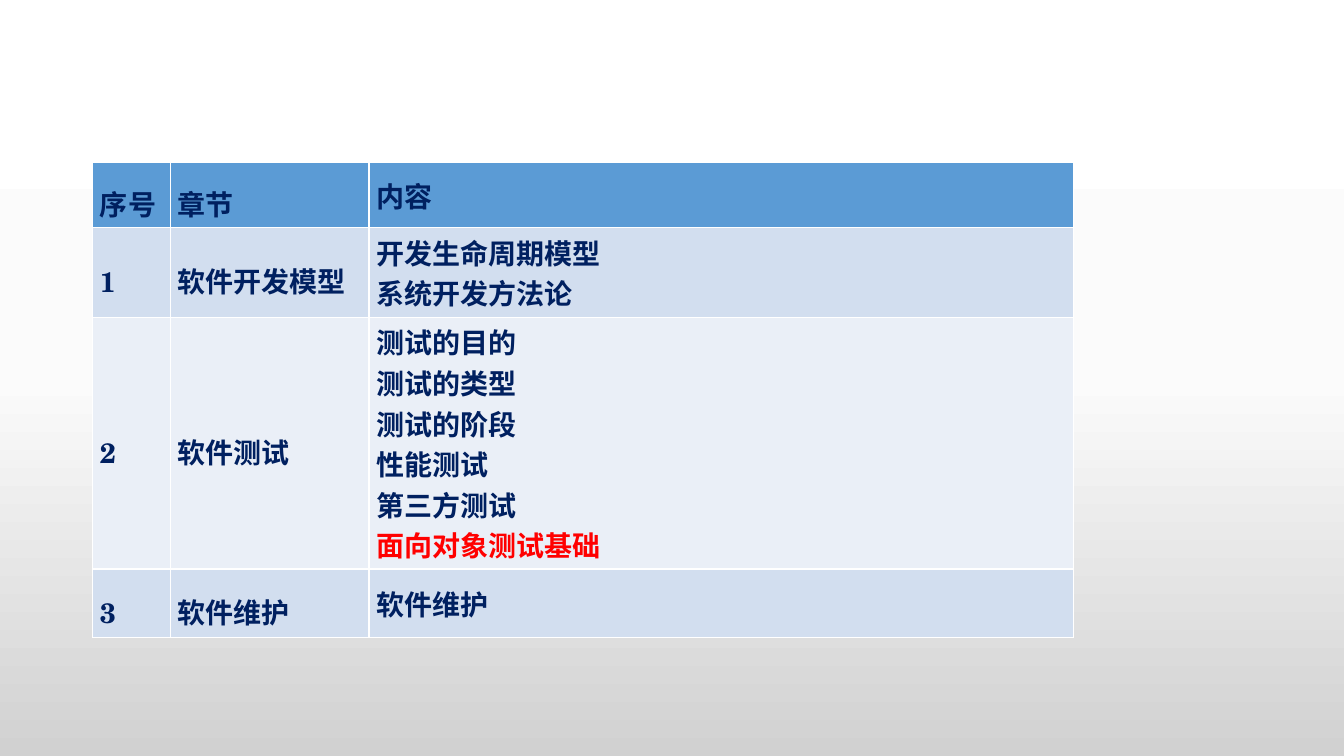
from copy import deepcopy
from dataclasses import dataclass

from pptx import Presentation
from pptx.dml.color import RGBColor
from pptx.enum.text import MSO_ANCHOR
from pptx.oxml.ns import qn
from pptx.util import Cm, Pt


@dataclass(frozen=True)
class Theme:
    font: str = "TeX Gyre Schola"
    size: Pt = Pt(20)
    text: RGBColor = RGBColor(0x00, 0x20, 0x60)
    highlight: RGBColor = RGBColor(0xFF, 0x00, 0x00)
    header: RGBColor = RGBColor(0x5B, 0x9B, 0xD5)
    bands: tuple = (RGBColor(0xEA, 0xEF, 0xF7), RGBColor(0xD2, 0xDE, 0xEF))
    background: tuple = (
        (0, RGBColor(0xFF, 0xFF, 0xFF)),
        (0.5, RGBColor(0xFB, 0xFB, 0xFB)),
        (1, RGBColor(0xD1, 0xD1, 0xD1)),
    )


theme = Theme()
column_widths = [1.96, 5.0, 17.76]
row_heights = [1.6, 2.26, 6.34, 1.7]
highlighted_topic = "面向对象测试基础"
chapters = [
    ("序号", "章节", ["内容"]),
    ("1", "软件开发模型", ["开发生命周期模型", "系统开发方法论"]),
    ("2", "软件测试", ["测试的目的", "测试的类型", "测试的阶段",
                   "性能测试", "第三方测试", highlighted_topic]),
    ("3", "软件维护", ["软件维护"]),
]

presentation = Presentation()
presentation.slide_width = Cm(33.87)
presentation.slide_height = Cm(19.05)
slide = presentation.slides.add_slide(presentation.slide_layouts[6])

# Background gradient, with a third stop added to the default two
background = slide.background.fill
background.gradient()
background.gradient_angle = 270
stop_list = slide.element.find(".//" + qn("a:gsLst"))
stop_list.insert(1, deepcopy(stop_list[0]))
for stop, (position, color) in zip(background.gradient_stops, theme.background):
    stop.position = position
    stop.color.rgb = color

# Chapter table; its default style supplies the white rules
table = slide.shapes.add_table(
    len(chapters), len(column_widths), Cm(2.34), Cm(4.1),
    Cm(sum(column_widths)), Cm(sum(row_heights)),
).table
for column, width in zip(table.columns, column_widths):
    column.width = Cm(width)
for row, height in zip(table.rows, row_heights):
    row.height = Cm(height)

for row_index, (number, chapter, topics) in enumerate(chapters):
    for column_index, lines in enumerate(([number], [chapter], topics)):
        cell = table.cell(row_index, column_index)
        cell.fill.solid()
        cell.fill.fore_color.rgb = theme.bands[row_index % 2] if row_index else theme.header
        cell.vertical_anchor = MSO_ANCHOR.MIDDLE
        cell.margin_left = cell.margin_right = Cm(0.18)
        cell.margin_top = cell.margin_bottom = Cm(0.1)
        cell.text = "\n".join(lines)
        for paragraph in cell.text_frame.paragraphs:
            if column_index < 2:
                paragraph.line_spacing = 1.4
            font = paragraph.font
            font.name = theme.font
            font.size = theme.size
            font.bold = True
            is_highlighted = paragraph.text == highlighted_topic
            font.color.rgb = theme.highlight if is_highlighted else theme.text

presentation.save("out.pptx")
